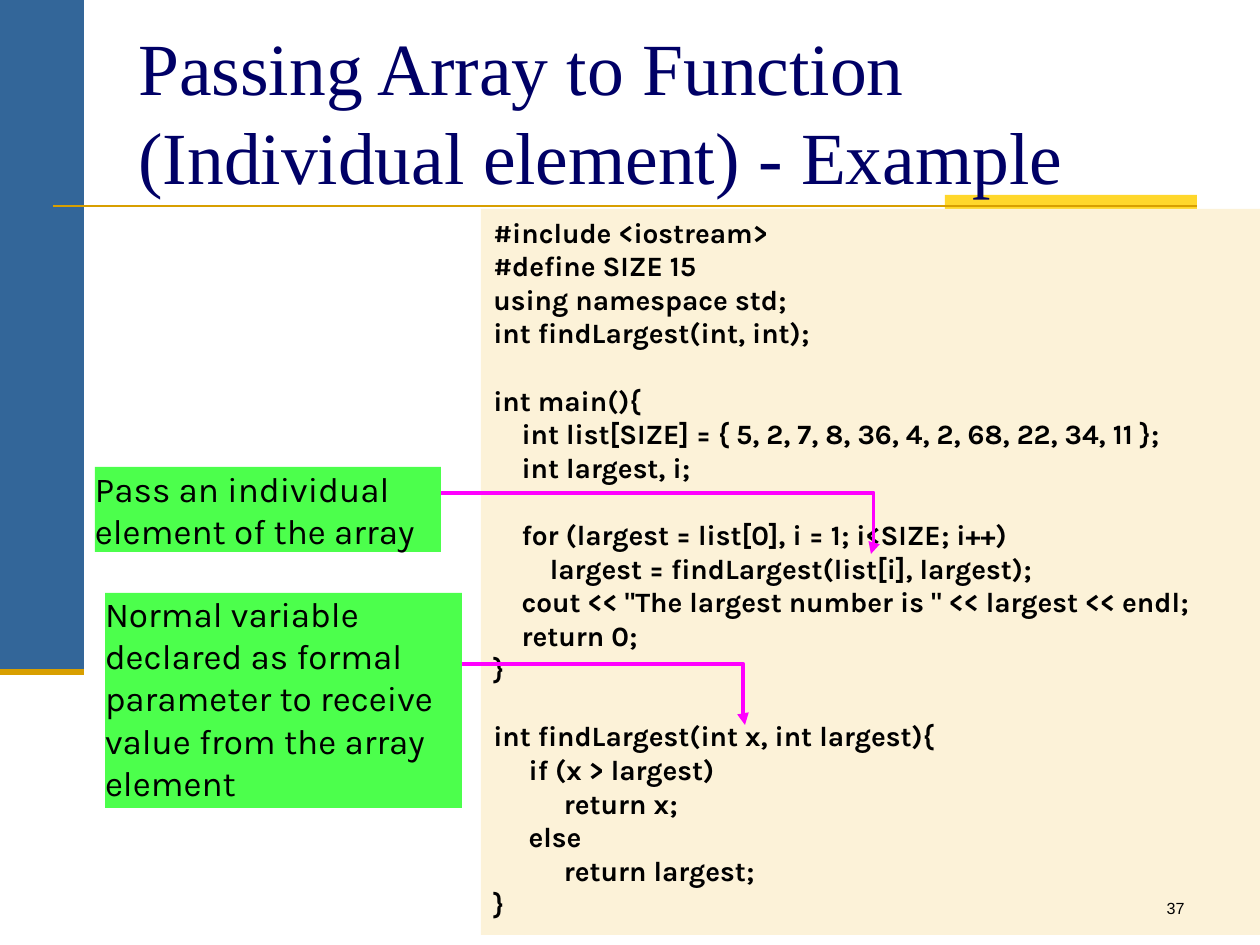
from dataclasses import dataclass
from typing import Optional

import pptx
import pptx.dml.color
import pptx.enum.shapes
import pptx.enum.text
import pptx.oxml
import pptx.oxml.ns
import pptx.util
from lxml import etree

RGBColor = pptx.dml.color.RGBColor
Align = pptx.enum.text.PP_ALIGN
Anchor = pptx.enum.text.MSO_ANCHOR
qn = pptx.oxml.ns.qn

BLUE = RGBColor(0x33, 0x66, 0x99)
YELLOW = RGBColor(0xFF, 0xD7, 0x2B)
GOLD = RGBColor(0xD8, 0x9F, 0x00)
CREAM = RGBColor(0xFC, 0xF2, 0xD8)
GREEN = RGBColor(0x00, 0xFF, 0x00)
MAGENTA = RGBColor(0xFF, 0x00, 0xFF)
NAVY = RGBColor(0x00, 0x00, 0x66)
BLACK = RGBColor(0x00, 0x00, 0x00)

PX_PER_INCH = 126
CODE_LINE_PT = 19.2

CODE = """\
#include <iostream>
#define SIZE 15
using namespace std;
int findLargest(int, int);

int main(){
    int list[SIZE] = { 5, 2, 7, 8, 36, 4, 2, 68, 22, 34, 11 };
    int largest, i;

    for (largest = list[0], i = 1; i<SIZE; i++)
        largest = findLargest(list[i], largest);
    cout << "The largest number is " << largest << endl;
    return 0;
}

int findLargest(int x, int largest){
     if (x > largest)
          return x;
     else
          return largest;
}"""


@dataclass(frozen=True)
class Box:
    left: int
    top: int
    width: int
    height: int


@dataclass(frozen=True)
class TextStyle:
    font: str
    size: float
    color: RGBColor = BLACK
    bold: bool = False
    align: Align = Align.LEFT


@dataclass(frozen=True)
class Callout:
    text: str
    box: Box
    arrow_start: tuple[int, int]
    arrow_end: tuple[int, int]
    bend: int  # thousandths of a percent of the arrow's width


TITLE_STYLE = TextStyle("Times New Roman", 42, NAVY)
CODE_STYLE = TextStyle("Karla", 16, bold=True)
CALLOUT_STYLE = TextStyle("Karla", 20)
NUMBER_STYLE = TextStyle("Arial", 9.2, align=Align.RIGHT)

CALLOUTS = [
    Callout("Pass an individual element of the array",
            Box(95, 467, 346, 85), (441, 493), (871, 554), 100600),
    Callout("Normal variable declared as formal parameter to receive "
            "value from the array element",
            Box(105, 593, 357, 215), (462, 664), (745, 725), 99400),
]


def px(length: int) -> pptx.util.Emu:
    return pptx.util.Emu(round(length * 914400 / PX_PER_INCH))


def place(box: Box) -> tuple:
    return px(box.left), px(box.top), px(box.width), px(box.height)


def add_panel(slide, box: Box, color: RGBColor, opacity: Optional[int] = None):
    panel = slide.shapes.add_shape(pptx.enum.shapes.MSO_SHAPE.RECTANGLE, *place(box))
    panel.shadow.inherit = False
    panel.line.fill.background()
    panel.fill.solid()
    panel.fill.fore_color.rgb = color
    if opacity is not None:
        tint = panel.fill._xPr.find(qn("a:solidFill"))[0]
        etree.SubElement(tint, qn("a:alpha")).set("val", str(opacity * 1000))
    return panel


def write(frame, lines: list[str], style: TextStyle, anchor: Anchor = Anchor.TOP) -> None:
    frame.word_wrap = True
    frame.vertical_anchor = anchor
    for index, line in enumerate(lines):
        paragraph = frame.add_paragraph() if index else frame.paragraphs[0]
        paragraph.text = line
        paragraph.alignment = style.align
        paragraph.font.name = style.font
        paragraph.font.size = pptx.util.Pt(style.size)
        paragraph.font.bold = style.bold
        paragraph.font.color.rgb = style.color


def add_line(slide, start: tuple[int, int], end: tuple[int, int], color: RGBColor,
             width: float, bend: Optional[int] = None) -> None:
    kinds = pptx.enum.shapes.MSO_CONNECTOR
    kind = kinds.STRAIGHT if bend is None else kinds.ELBOW
    line = slide.shapes.add_connector(kind, *map(px, start + end))
    line.line.color.rgb = color
    line.line.width = pptx.util.Pt(width)
    properties = line._element.spPr
    etree.SubElement(properties, qn("a:effectLst"))
    if bend is not None:
        guides = properties.find(qn("a:prstGeom")).get_or_add_avLst()
        guide = etree.SubElement(guides, qn("a:gd"))
        guide.set("name", "adj1")
        guide.set("fmla", f"val {bend}")
        head = etree.SubElement(properties.find(qn("a:ln")), qn("a:tailEnd"))
        head.set("type", "triangle")


def add_code(slide, box: Box) -> None:
    frame = add_panel(slide, box, CREAM).text_frame
    blocks = [block.split("\n") for block in CODE.split("\n\n")]
    write(frame, [line for block in blocks for line in block], CODE_STYLE)
    # One empty line's height between blocks
    first = 0
    for block in blocks[:-1]:
        first += len(block)
        frame.paragraphs[first].space_before = pptx.util.Pt(CODE_LINE_PT)


def add_callout(slide, callout: Callout) -> None:
    frame = add_panel(slide, callout.box, GREEN, opacity=70).text_frame
    frame.margin_left = frame.margin_right = frame.margin_top = frame.margin_bottom = 0
    write(frame, [callout.text], CALLOUT_STYLE)
    add_line(slide, callout.arrow_start, callout.arrow_end, MAGENTA, 2.25, callout.bend)


def main() -> None:
    deck = pptx.Presentation()
    deck.slide_width, deck.slide_height = px(1260), px(945)
    slide = deck.slides.add_slide(deck.slide_layouts[6])

    # Side band and title rule
    add_panel(slide, Box(0, 0, 84, 672), BLUE)
    add_panel(slide, Box(945, 195, 252, 25), YELLOW)
    add_line(slide, (53, 206), (1197, 206), GOLD, 1.5)
    add_line(slide, (0, 672), (84, 672), GOLD, 3.5)

    # Code listing and its callouts
    add_code(slide, Box(481, 209, 779, 726))
    for callout in CALLOUTS:
        add_callout(slide, callout)

    # Title and slide number
    title = slide.shapes.add_textbox(*place(Box(126, 32, 1071, 157)))
    write(title.text_frame, ["Passing Array to Function (Individual element) - Example"],
          TITLE_STYLE, Anchor.MIDDLE)
    number = slide.shapes.add_textbox(*place(Box(935, 892, 262, 32)))
    write(number.text_frame, ["37"], NUMBER_STYLE)

    deck.save("out.pptx")


if __name__ == "__main__":
    main()
